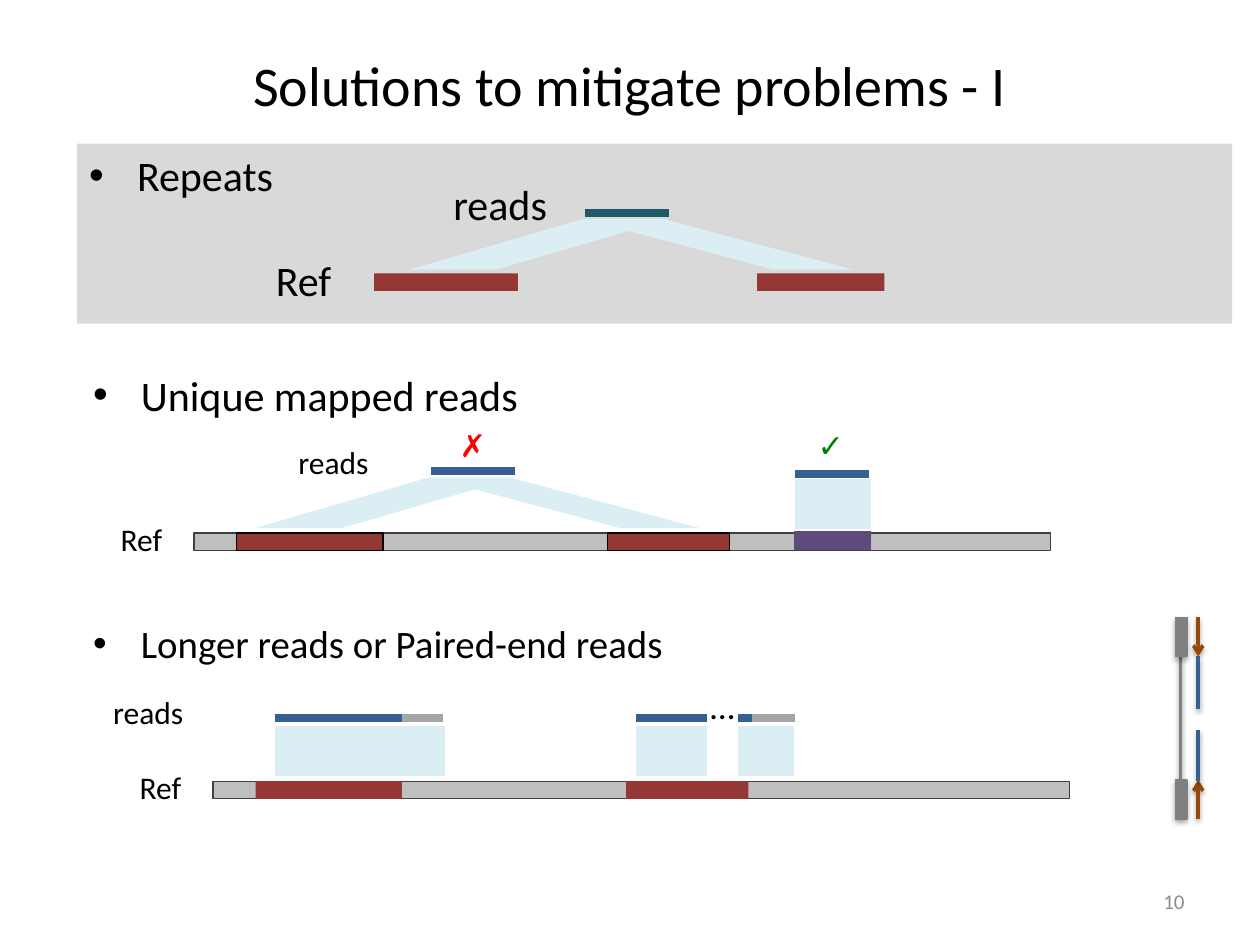
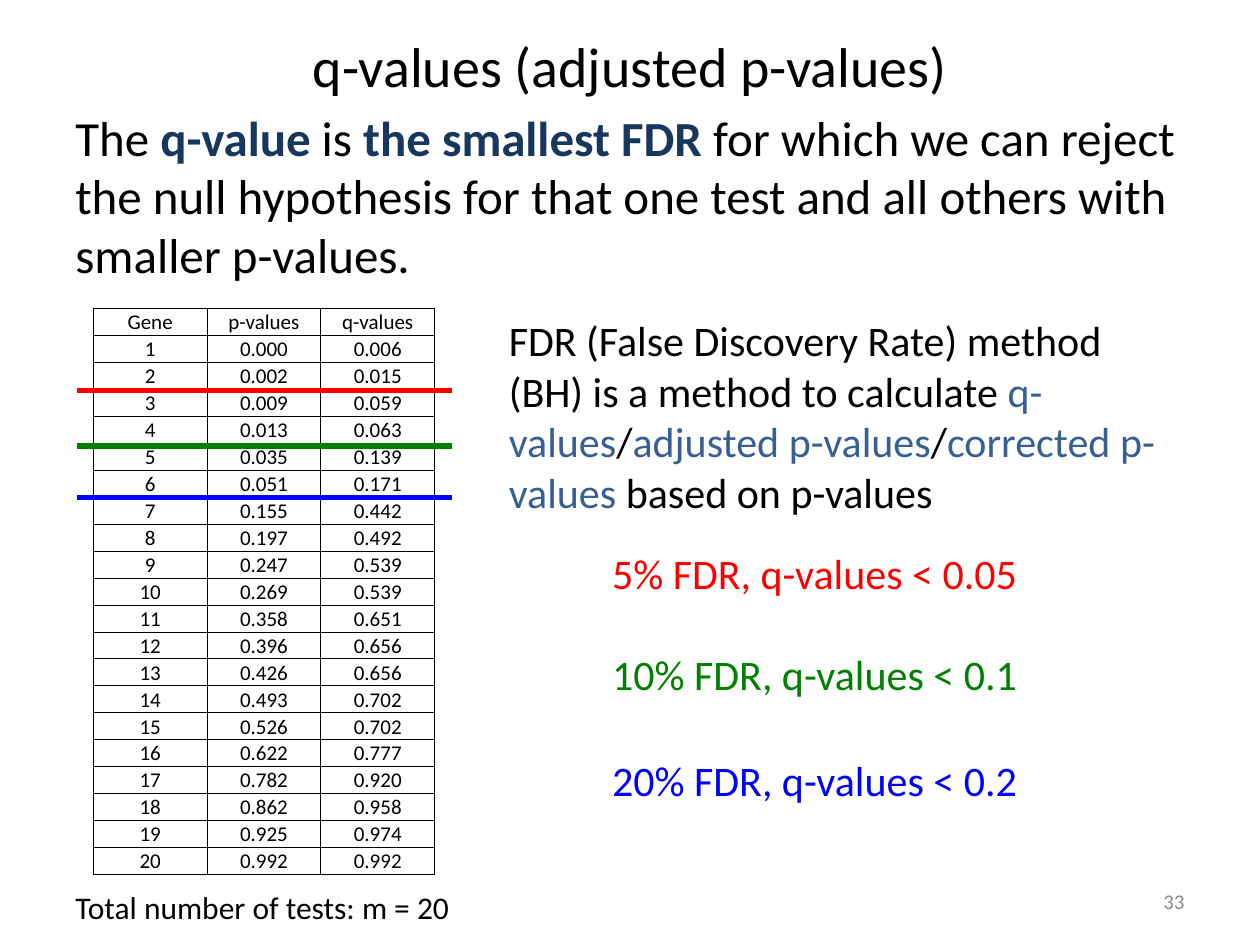
from dataclasses import dataclass
from typing import Optional

from lxml.etree import SubElement
from pptx import Presentation
from pptx.dml.color import RGBColor
from pptx.enum.shapes import MSO_CONNECTOR, MSO_SHAPE
from pptx.enum.text import MSO_ANCHOR, PP_ALIGN
from pptx.oxml.ns import qn
from pptx.util import Emu, Pt

EMU_PER_PX = 9144  # 100 px to the inch
FONT = "Calibri"
COLORS = {
    "black": "000000", "number": "8C8C8C", "panel": "D9D9D9",
    "genome": "BFBFBF", "genome_edge": "404040", "repeat": "953735",
    "unique": "604A7B", "teal": "215968", "blue": "376092", "navy": "17375E",
    "match": "DBEEF4", "unread": "A6A6A6", "adapter": "808080",
    "primer": "984807", "red": "FF0000", "green": "008000",
    "fdr_blue": "0000FF",
}


@dataclass
class Label:
    """Text box; text is a string or a list of (text, color, bold) runs."""
    text: object
    left: int
    top: int
    width: int
    height: int
    size: float = 18
    color: str = "black"
    font: str = FONT
    align: PP_ALIGN = PP_ALIGN.LEFT
    anchor: MSO_ANCHOR = MSO_ANCHOR.TOP
    wrap: bool = False
    bullet: bool = False
    line_spacing: Optional[float] = None
    fill: Optional[str] = None


@dataclass
class Block:
    """Rectangle on a sequence track."""
    left: int
    top: int
    width: int
    color: str
    edge: Optional[str] = None
    height: int = 14
    shadow: bool = False


@dataclass
class Match:
    """Pale band that joins a read to its place on the reference."""
    left: int
    top: int
    width: int
    lean: float = 0
    flipped: bool = False


@dataclass
class Line:
    x1: int
    y1: int
    x2: int
    y2: int
    color: str
    weight: float = 4.5
    arrow: bool = False
    shadow: bool = False


def px(length: int) -> Emu:
    return Emu(length * EMU_PER_PX)


def rgb(name: str) -> RGBColor:
    return RGBColor.from_string(COLORS[name])


def set_effects(shape, shadow: bool) -> None:
    """Give a shape a soft shadow below it, or an empty effect list."""
    effects = SubElement(shape._element.spPr, qn("a:effectLst"))
    if shadow:
        outer = SubElement(effects, qn("a:outerShdw"), blurRad="39370",
                           dist="20320", dir="5400000", rotWithShape="0")
        color = SubElement(outer, qn("a:srgbClr"), val=COLORS["black"])
        SubElement(color, qn("a:alpha"), val="38000")


def draw_label(slide, label: Label) -> None:
    shape = slide.shapes.add_textbox(px(label.left), px(label.top),
                                     px(label.width), px(label.height))
    if label.fill:
        shape.fill.solid()
        shape.fill.fore_color.rgb = rgb(label.fill)
    frame = shape.text_frame
    frame.word_wrap = label.wrap
    frame.vertical_anchor = label.anchor
    paragraph = frame.paragraphs[0]
    paragraph.alignment = label.align
    if label.line_spacing:
        paragraph.line_spacing = label.line_spacing
    if label.bullet:
        properties = paragraph._p.get_or_add_pPr()
        properties.set("marL", str(px(38)))
        properties.set("indent", str(-px(38)))
        SubElement(properties, qn("a:buFont"), typeface="Arial")
        SubElement(properties, qn("a:buChar"), char="•")
    runs = label.text
    if isinstance(runs, str):
        runs = [(runs, label.color, False)]
    for text, color, bold in runs:
        run = paragraph.add_run()
        run.text = text
        run.font.name = label.font
        run.font.size = Pt(label.size)
        run.font.bold = bold
        run.font.color.rgb = rgb(color)


def draw_block(slide, block: Block) -> None:
    shape = slide.shapes.add_shape(MSO_SHAPE.RECTANGLE, px(block.left), px(block.top),
                                   px(block.width), px(block.height))
    shape.fill.solid()
    shape.fill.fore_color.rgb = rgb(block.color)
    if block.edge:
        shape.line.color.rgb = rgb(block.edge)
        shape.line.width = Pt(0.75)
    else:
        shape.line.fill.background()
    set_effects(shape, block.shadow)


def draw_match(slide, match: Match) -> None:
    shape = slide.shapes.add_shape(MSO_SHAPE.PARALLELOGRAM, px(match.left),
                                   px(match.top), px(match.width), px(40))
    shape.adjustments[0] = match.lean
    shape.fill.solid()
    shape.fill.fore_color.rgb = rgb("match")
    shape.line.fill.background()
    shape.shadow.inherit = False
    if match.flipped:
        shape._element.spPr.find(qn("a:xfrm")).set("flipH", "1")


def draw_line(slide, line: Line) -> None:
    connector = slide.shapes.add_connector(MSO_CONNECTOR.STRAIGHT, px(line.x1),
                                           px(line.y1), px(line.x2), px(line.y2))
    connector.line.color.rgb = rgb(line.color)
    connector.line.width = Pt(line.weight)
    if line.arrow:
        SubElement(connector.line._get_or_add_ln(), qn("a:tailEnd"), type="arrow")
    set_effects(connector, line.shadow)


DRAWERS = {Label: draw_label, Block: draw_block, Match: draw_match, Line: draw_line}


def draw_all(slide, parts: list) -> None:
    for part in parts:
        DRAWERS[type(part)](slide, part)


def new_slide(presentation, title: str, top: int, height: int, number: int):
    """Blank slide with the shared title style and slide number."""
    slide = presentation.slides.add_slide(presentation.slide_layouts[6])
    draw_all(slide, [
        Label(title, 50, top, 900, height, 32, align=PP_ALIGN.CENTER,
              anchor=MSO_ANCHOR.MIDDLE, wrap=True),
        Label(str(number), 717, 695, 233, 40, 12, "number", align=PP_ALIGN.RIGHT,
              anchor=MSO_ANCHOR.MIDDLE, wrap=True),
    ])
    return slide


def forked_read(left: int, top: int, color: str) -> list:
    """One read that matches two repeats."""
    return [
        Line(left, top, left + 67, top, color),
        Match(left - 139, top + 5, 206, 3.43),
        Match(left, top + 5, 213, 3.75, flipped=True),
    ]


def reference_track(left: int, top: int, edge: Optional[str]) -> list:
    """Genome bar with its two repeats."""
    return [
        Block(left, top, 680, "genome", "genome_edge"),
        Block(left + 34, top, 116, "repeat", edge),
        Block(left + 328, top, 97, "repeat", edge),
    ]


def build_solutions(presentation) -> None:
    slide = new_slide(presentation, "Solutions to mitigate problems - I", 30, 73, 10)
    # The problem: repeats
    draw_all(slide, [
        Label("Repeats", 61, 114, 917, 143, 24, wrap=True, bullet=True, fill="panel"),
        Block(297, 217, 114, "repeat"),
        Block(601, 217, 101, "repeat"),
        *forked_read(464, 169, "teal"),
        Label("reads", 350, 137, 95, 50, 24),
        Label("Ref", 209, 197, 65, 50, 24),
    ])
    # Uniquely mapped reads
    draw_all(slide, [
        Label("Unique mapped reads", 64, 288, 496, 50, 24, wrap=True, bullet=True),
        *reference_track(154, 423, "black"),
        Line(631, 376, 690, 376, "blue"),
        *forked_read(342, 374, "blue"),
        Match(631, 380, 60),
        Block(631, 422, 60, "unique", "unique"),
        Label("reads", 227, 347, 77, 40),
        Label("Ref", 86, 408, 55, 40),
        Label("✓", 639, 333, 40, 40, color="green", font="Arial"),
        Label("✗", 355, 333, 37, 40, color="red", font="Arial"),
    ])
    # Longer or paired-end reads
    read_spans = [(218, 319, "blue"), (319, 352, "unread"), (505, 561, "blue"),
                  (586, 597, "blue"), (597, 631, "unread")]
    draw_all(slide, [
        Label("Longer reads or Paired-end reads", 64, 487, 496, 50, 22.2,
              wrap=True, bullet=True),
        *reference_track(169, 620, None),
        *[Line(start, 570, end, 570, color) for start, end, color in read_spans],
        *[Match(left, 576, width) for left, width in [(218, 135), (505, 56), (586, 44)]],
        Label("reads", 80, 545, 77, 40),
        Label("Ref", 101, 605, 55, 40),
        Label("…", 554, 538, 40, 44, 20),
    ])
    # Paired-end fragment: adapters, primers and reads
    strands = [(937, 521, 619, "adapter", False),
               (951, 490, 521, "primer", True), (951, 521, 563, "blue", False),
               (951, 650, 619, "primer", True), (951, 579, 620, "blue", False)]
    draw_all(slide, [
        *[Line(x, start, x, end, color, 2, arrow, shadow=True)
          for x, start, end, color, arrow in strands],
        *[Block(933, top, 9, "adapter", "adapter", 31, shadow=True) for top in (490, 619)],
    ])


P_VALUES = """0.000 0.002 0.009 0.013 0.035 0.051 0.155 0.197 0.247 0.269
0.358 0.396 0.426 0.493 0.526 0.622 0.782 0.862 0.925 0.992""".split()
Q_VALUES = """0.006 0.015 0.059 0.063 0.139 0.171 0.442 0.492 0.539 0.539
0.651 0.656 0.656 0.702 0.702 0.777 0.920 0.958 0.974 0.992""".split()


def format_cell(cell, text: str) -> None:
    cell.text_frame.text = text
    cell.vertical_anchor = MSO_ANCHOR.BOTTOM
    cell.margin_left = cell.margin_right = cell.margin_top = px(1)
    cell.margin_bottom = 0
    paragraph = cell.text_frame.paragraphs[0]
    paragraph.alignment = PP_ALIGN.CENTER
    font = paragraph.runs[0].font
    font.name, font.size, font.bold = FONT, Pt(12), False
    font.color.rgb = rgb("black")
    properties = cell._tc.get_or_add_tcPr()
    for side in ("lnL", "lnR", "lnT", "lnB"):
        border = SubElement(properties, qn(f"a:{side}"), w=str(Pt(0.5)))
        fill = SubElement(border, qn("a:solidFill"))
        SubElement(fill, qn("a:srgbClr"), val=COLORS["black"])
    cell.fill.background()


def draw_gene_table(slide) -> None:
    genes = [str(number) for number in range(1, len(P_VALUES) + 1)]
    rows = [("Gene", "p-values", "q-values"), *zip(genes, P_VALUES, Q_VALUES)]
    width, height = px(271), px(449)
    table = slide.shapes.add_table(len(rows), 3, px(74), px(245), width, height).table
    table.first_row = table.horz_banding = False
    for column in table.columns:
        column.width = width // 3
    for row, values in zip(table.rows, rows):
        row.height = height // len(rows)
        for cell, value in zip(row.cells, values):
            format_cell(cell, value)


def build_q_values(presentation) -> None:
    slide = new_slide(presentation, "q-values (adjusted p-values)", 21, 62, 33)
    # Definition
    definition = [
        ("The ", "black", False), ("q-value ", "navy", True), ("is ", "black", False),
        ("the smallest FDR ", "navy", True),
        ("for which we can reject the null hypothesis for that one test and all "
         "others with smaller p-values.", "black", False),
    ]
    draw_label(slide, Label(definition, 50, 80, 917, 148, 28, wrap=True))
    # Test results
    draw_gene_table(slide)
    draw_label(slide, Label("Total number of tests: m = 20", 50, 700, 323, 40))
    # FDR thresholds: cut-off line in the table and its meaning
    thresholds = [("5% FDR, q-values < 0.05", 310, 422, "red"),
                  ("10% FDR, q-values < 0.1", 354, 502, "green"),
                  ("20% FDR, q-values < 0.2", 395, 586, "fdr_blue")]
    for text, cutoff, top, color in thresholds:
        draw_all(slide, [
            Line(61, cutoff, 359, cutoff, color, 3),
            Label(text, 476, top, 360, 57, 24, color, wrap=True, line_spacing=1.2),
        ])
    # Method
    method = [
        ("FDR (False Discovery Rate) method (BH) is a method to calculate ", "black", False),
        ("q-values", "blue", False), ("/", "black", False),
        ("adjusted p-values", "blue", False), ("/", "black", False),
        ("corrected p-values", "blue", False), (" based on p-values", "black", False),
    ]
    draw_label(slide, Label(method, 394, 245, 556, 172, 24, wrap=True))


def main() -> None:
    presentation = Presentation()
    presentation.slide_width, presentation.slide_height = px(1000), px(750)
    build_solutions(presentation)
    build_q_values(presentation)
    presentation.save("out.pptx")


if __name__ == "__main__":
    main()
